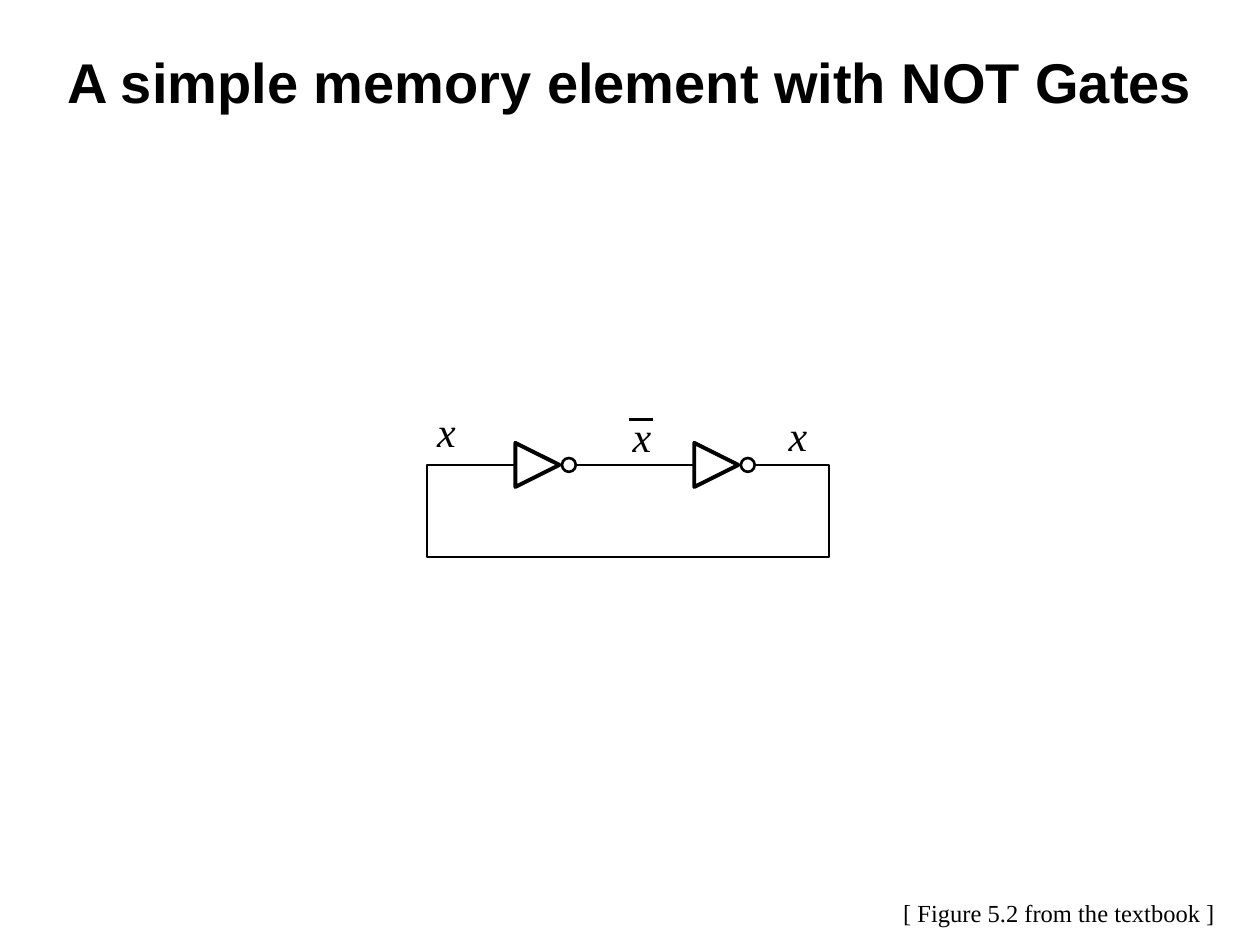
"""Build a slide showing a memory element made of two NOT gates."""
from lxml import etree
from pptx import Presentation
from pptx.dml.color import RGBColor
from pptx.enum.shapes import MSO_CONNECTOR, MSO_SHAPE
from pptx.enum.text import MSO_ANCHOR, PP_ALIGN
from pptx.oxml.ns import qn
from pptx.util import Inches, Pt

LINE = MSO_CONNECTOR.STRAIGHT
OVAL = MSO_SHAPE.OVAL
TOP = MSO_ANCHOR.TOP
LEFT, CENTER = PP_ALIGN.LEFT, PP_ALIGN.CENTER
BLACK, WHITE = "000000", "FFFFFF"
SERIF = "Times New Roman"


def color(form, code):
    form.rgb = RGBColor.from_string(code)


def write(text, box, size, font=SERIF, bold=False, italic=False,
          align=LEFT, wrap=False, pad=(0.1, 0.05)):
    frame = slide.shapes.add_textbox(*map(Inches, box)).text_frame
    frame.word_wrap = wrap
    frame.vertical_anchor = TOP
    frame.margin_left = frame.margin_right = Inches(pad[0])
    frame.margin_top = frame.margin_bottom = Inches(pad[1])
    para = frame.paragraphs[0]
    para.alignment = align
    run = para.add_run()
    run.text = text
    run.font.name, run.font.size = font, Pt(size)
    run.font.bold, run.font.italic = bold, italic
    color(run.font.color, BLACK)


deck = Presentation()
deck.slide_width, deck.slide_height = Inches(10), Inches(7.5)
slide = deck.slides.add_slide(deck.slide_layouts[6])

wire_y = 3.69
gates = [4.09, 5.51]
side, dot = 0.35, 0.11

for start, end, y, width in [(4.54, gates[1], wire_y, 1.5),
                             (4.99, 5.18, 3.33, 1.62)]:
    wire = slide.shapes.add_connector(
        LINE, Inches(start), Inches(y), Inches(end), Inches(y))
    wire.line.width = Pt(width)
    color(wire.line.color, BLACK)
    etree.SubElement(wire._element.spPr, qn("a:effectLst"))

loop = [(4.09, wire_y), (3.39, wire_y), (3.39, 4.42),
        (6.58, 4.42), (6.58, wire_y), (5.98, wire_y)]
paths = [(loop, False, 1.5)]
for x in gates:
    gate = [(x + side, wire_y), (x, wire_y + side / 2), (x, wire_y - side / 2)]
    paths.append((gate, True, 2.25))

for points, close, width in paths:
    spots = [(Inches(x), Inches(y)) for x, y in points]
    pen = slide.shapes.build_freeform(*spots[0])
    pen.add_line_segments(spots[1:], close=close)
    shape = pen.convert_to_shape()
    shape.shadow.inherit = False
    shape.fill.background()
    shape.line.width = Pt(width)
    color(shape.line.color, BLACK)

for x in gates:
    ring = slide.shapes.add_shape(
        OVAL, Inches(x + side + 0.02), Inches(wire_y - dot / 2),
        Inches(dot), Inches(dot))
    ring.shadow.inherit = False
    ring.fill.solid()
    color(ring.fill.fore_color, WHITE)
    ring.line.width = Pt(1.5)
    color(ring.line.color, BLACK)

for x, y in [(3.47, 3.22), (5.02, 3.26), (6.26, 3.25)]:
    write("x", (x, y, 0.22, 0.4), 24, italic=True, pad=(0, 0))

write("A simple memory element with NOT Gates", (0, 0.33, 10, 0.75), 32,
      font="Arial", bold=True, align=CENTER, wrap=True)
write("[ Figure 5.2 from the textbook ]", (7.07, 7.08, 2.8, 0.34), 14)

deck.save("out.pptx")
